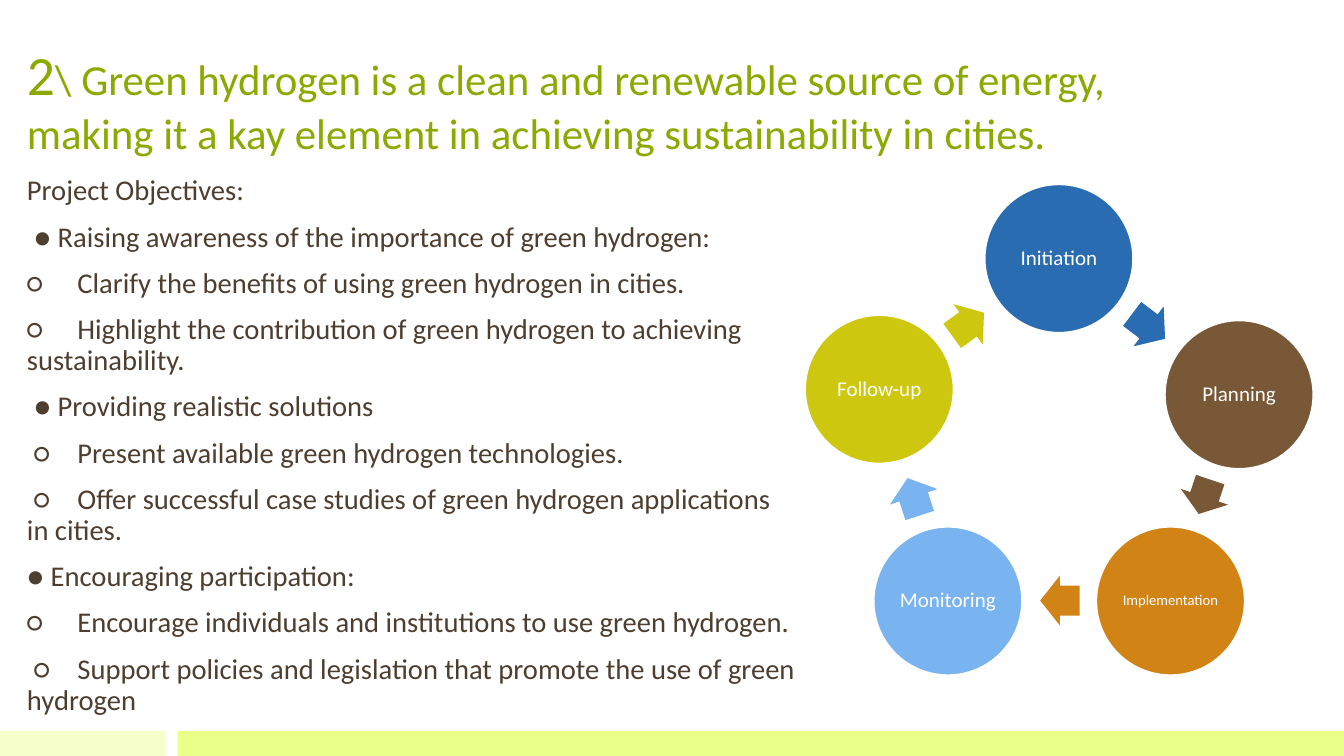
"""Build the green hydrogen slide: objectives on the left, project cycle on the right."""
from dataclasses import dataclass

from pptx import Presentation
from pptx.dml.color import RGBColor
from pptx.enum.shapes import MSO_SHAPE as Preset
from pptx.enum.text import MSO_ANCHOR as Anchor, PP_ALIGN as Align
from pptx.oxml.ns import qn
from pptx.util import Pt
from lxml.etree import SubElement

FONT = "Calibri"
TITLE_COLOR = "8BAA00"
BODY_COLOR = "4D3E2F"
WHITE = "FFFFFF"
CIRCLE_SIZE = 105.8
ARROW_HEIGHT = 35.7


@dataclass(frozen=True)
class Objective:
    text: str
    indent: float = 0
    tab: float = 0


@dataclass(frozen=True)
class Band:
    left: float
    width: float
    color: str


@dataclass(frozen=True)
class Arrow:
    left: float
    top: float
    width: float
    rotation: float


@dataclass(frozen=True)
class Stage:
    label: str
    left: float
    top: float
    color: str
    arrow: Arrow
    size: float = 15


BANDS = [Band(0, 118, "F6FFCC"), Band(126.8, 833.2, "E9FF88")]

OBJECTIVES = [
    Objective("Project Objectives:"),
    Objective("● Raising awareness of the importance of green hydrogen:", 5),
    Objective("○\tClarify the benefits of using green hydrogen in cities.", 0, 25),
    Objective("○\tHighlight the contribution of green hydrogen to achieving sustainability.", 0, 25),
    Objective("● Providing realistic solutions", 5),
    Objective("○\tPresent available green hydrogen technologies.", 5, 25),
    Objective("○\tOffer successful case studies of green hydrogen applications in cities.", 5, 29.5),
    Objective("● Encouraging participation:"),
    Objective("○\tEncourage individuals and institutions to use green hydrogen.", 0, 25),
    Objective("○\tSupport policies and legislation that promote the use of green hydrogen", 5, 29.5),
]

STAGES = [
    Stage("Initiation", 703.5, 131.8, "2A6CB2", Arrow(805.7, 215.3, 29.5, 37.1)),
    Stage("Planning", 832.2, 229, "795837", Arrow(847.4, 337, 25.9, 108.5)),
    Stage("Implementation", 783.2, 376.4, "D18316", Arrow(743, 411.1, 28.1, 180), 10.5),
    Stage("Monitoring", 624.2, 376.4, "79B4F0", Arrow(638.6, 337, 28.1, 252)),
    Stage("Follow-up", 575.2, 225.2, "CDC80F", Arrow(677.5, 213.8, 28.1, 324)),
]


def rgb(color: str) -> RGBColor:
    return RGBColor.from_string(color)


def style_run(run, size: float, color: str) -> None:
    run.font.name = FONT
    run.font.size = Pt(size)
    run.font.color.rgb = rgb(color)


def draw_preset(slide, preset, left: float, top: float, width: float, height: float, color: str):
    drawn = slide.shapes.add_shape(preset, Pt(left), Pt(top), Pt(width), Pt(height))
    drawn.shadow.inherit = False
    drawn.fill.solid()
    drawn.fill.fore_color.rgb = rgb(color)
    drawn.line.fill.background()
    return drawn


def add_text_frame(slide, left: float, top: float, width: float, height: float, anchor):
    box = slide.shapes.add_textbox(Pt(left), Pt(top), Pt(width), Pt(height))
    frame = box.text_frame
    frame.word_wrap = True
    frame.vertical_anchor = anchor
    return frame


def draw_title(slide) -> None:
    heading = add_text_frame(slide, 12.2, 23.8, 836.6, 92.9, Anchor.BOTTOM).paragraphs[0]
    heading.text = "2"
    statement = heading.add_run()
    statement.text = (
        "\\ Green hydrogen is a clean and renewable source of energy, "
        "making it a kay element in achieving sustainability in cities."
    )
    for run, size in zip(heading.runs, (39.6, 30.6)):
        style_run(run, size, TITLE_COLOR)


def indent_objective(paragraph, objective: Objective) -> None:
    properties = paragraph._p.get_or_add_pPr()
    properties.set("marL", "0")
    properties.set("indent", str(Pt(objective.indent)))
    if objective.tab:
        tabs = SubElement(properties, qn("a:tabLst"))
        SubElement(tabs, qn("a:tab"), pos=str(Pt(objective.tab)), algn="l")


def draw_objectives(slide) -> None:
    frame = add_text_frame(slide, 12.2, 122.4, 563, 396, Anchor.TOP)
    frame.text = "\n".join(objective.text for objective in OBJECTIVES)
    for paragraph, objective in zip(frame.paragraphs, OBJECTIVES):
        paragraph.line_spacing = 0.9
        paragraph.space_before = Pt(11)
        indent_objective(paragraph, objective)
        for run in paragraph.runs:
            style_run(run, 20.4, BODY_COLOR)


def draw_stage(slide, stage: Stage) -> None:
    circle = draw_preset(
        slide, Preset.OVAL, stage.left, stage.top, CIRCLE_SIZE, CIRCLE_SIZE, stage.color
    )
    circle.line.color.rgb = rgb(WHITE)
    circle.line.width = Pt(1)
    frame = circle.text_frame
    frame.margin_left = frame.margin_right = frame.margin_top = frame.margin_bottom = Pt(1.5)
    frame.vertical_anchor = Anchor.MIDDLE
    frame.word_wrap = True
    frame.text = stage.label
    label = frame.paragraphs[0]
    label.alignment = Align.CENTER
    label.line_spacing = 0.9
    style_run(label.runs[0], stage.size, WHITE)

    step = stage.arrow
    arrow = draw_preset(
        slide, Preset.RIGHT_ARROW, step.left, step.top, step.width, ARROW_HEIGHT, stage.color
    )
    arrow.adjustments[0] = 0.6
    arrow.adjustments[1] = 0.5
    arrow.rotation = step.rotation


def main() -> None:
    deck = Presentation()
    deck.slide_width, deck.slide_height = Pt(960), Pt(540)
    slide = deck.slides.add_slide(deck.slide_layouts[6])
    for band in BANDS:
        draw_preset(slide, Preset.RECTANGLE, band.left, 522, band.width, 18, band.color)
    draw_title(slide)
    draw_objectives(slide)
    for stage in STAGES:
        draw_stage(slide, stage)
    deck.save("out.pptx")


if __name__ == "__main__":
    main()
